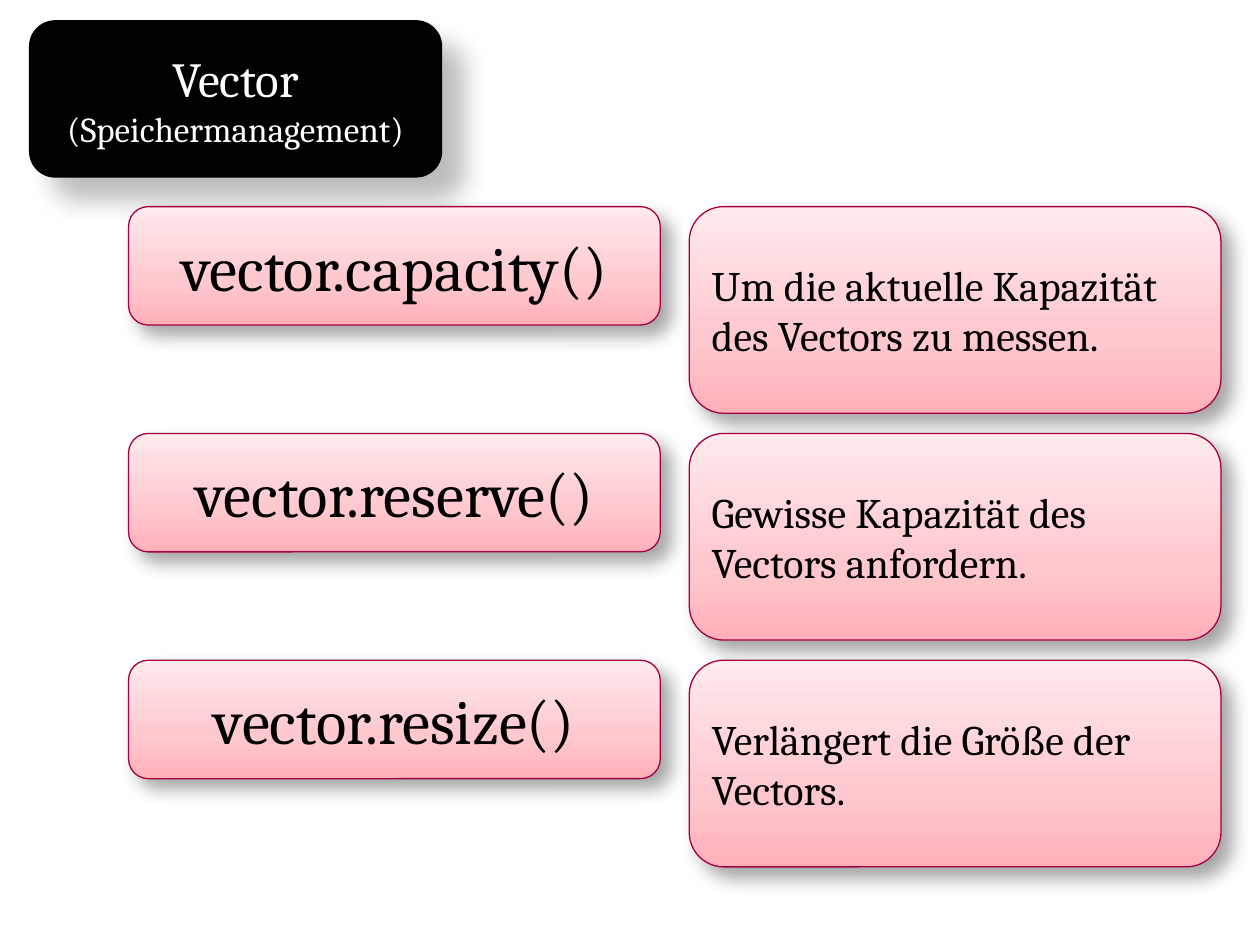
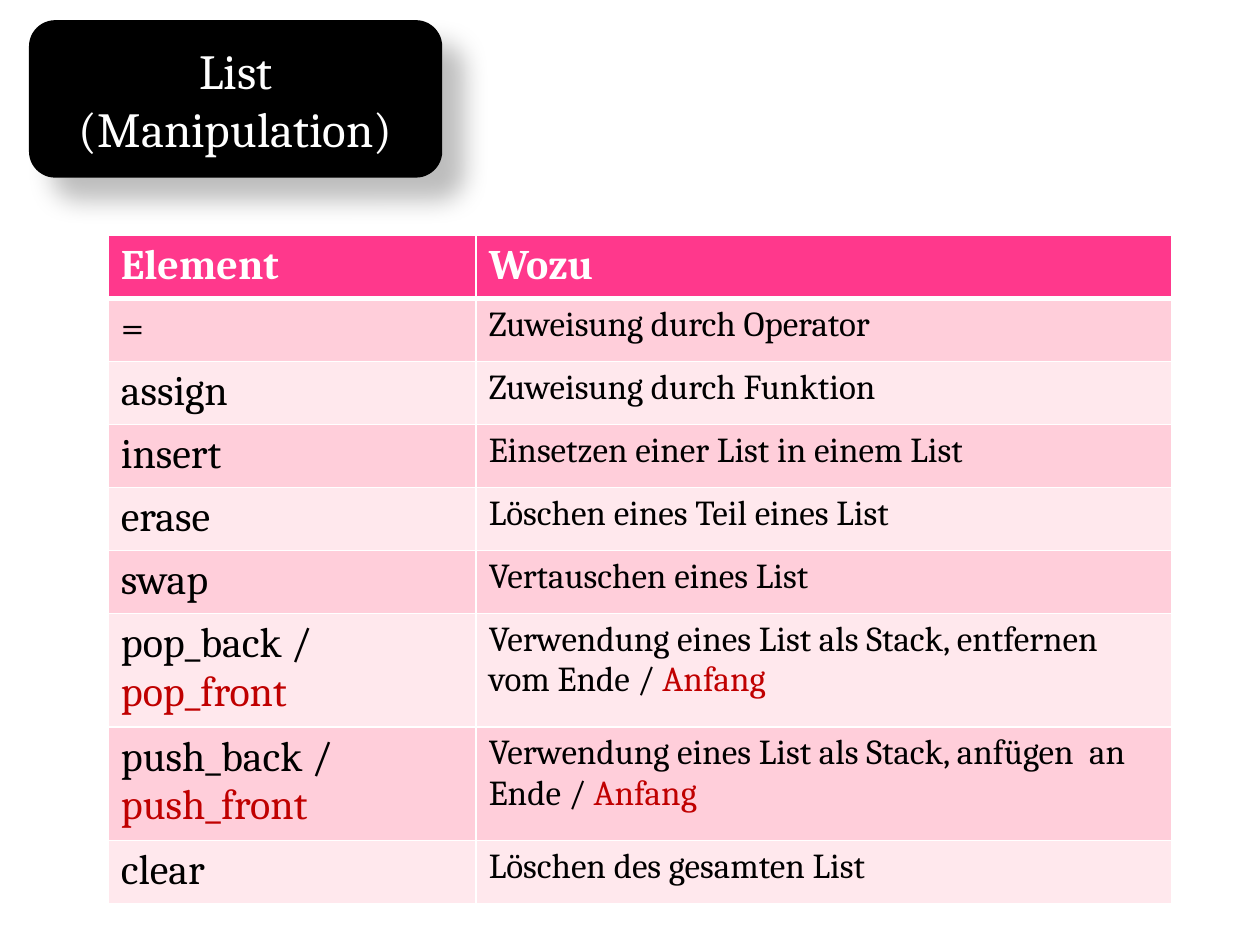
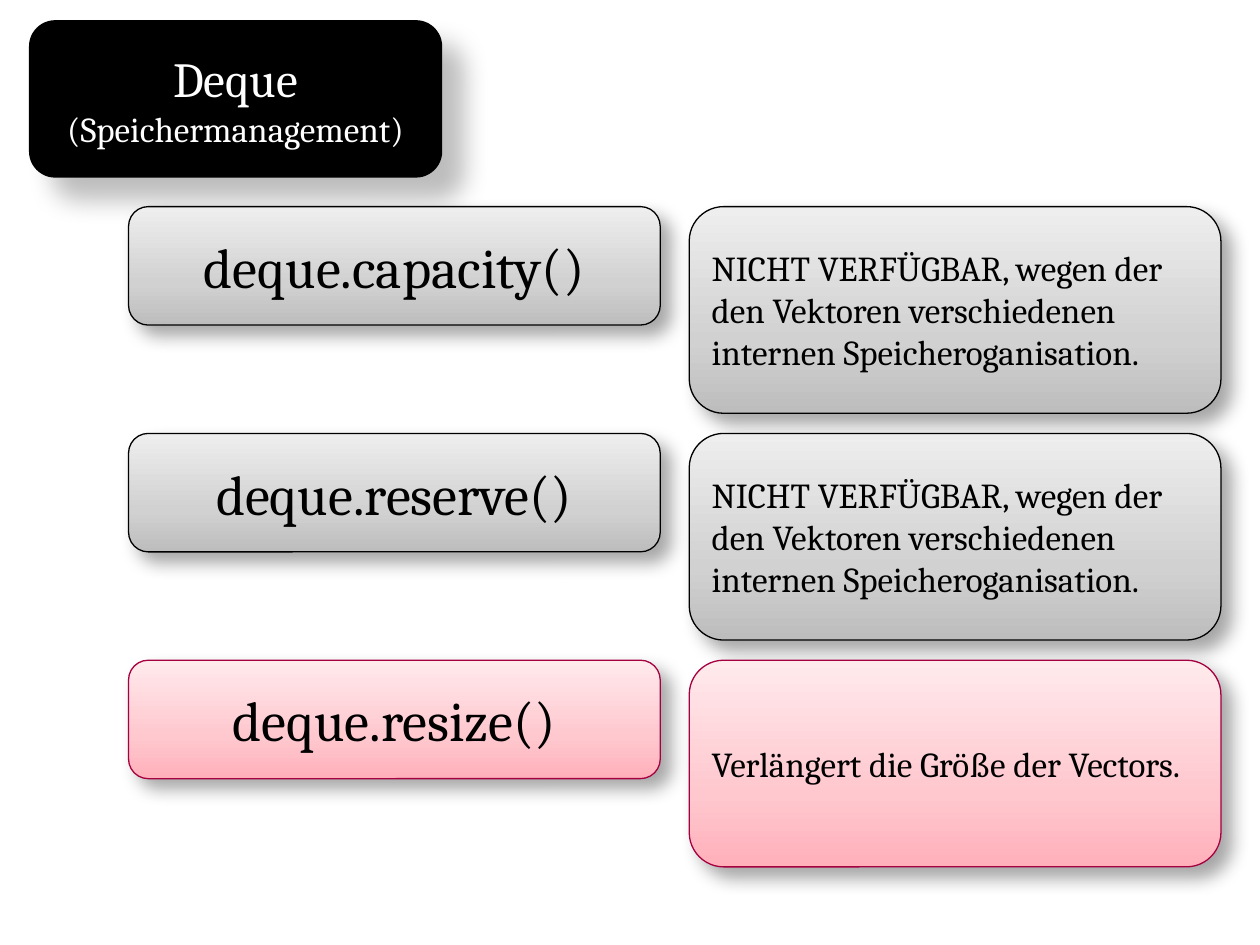
from copy import deepcopy

from lxml import etree
from pptx import Presentation
from pptx import util as u
from pptx.dml.color import RGBColor
from pptx.enum import shapes, text
from pptx.oxml.ns import qn

BLACK = RGBColor(0x00, 0x00, 0x00)
WHITE = RGBColor(0xFF, 0xFF, 0xFF)
RED = RGBColor(0xC0, 0x00, 0x00)
CRIMSON = RGBColor(0xA5, 0x00, 0x40)
HEADER_PINK = RGBColor(0xFF, 0x38, 0x8C)
BAND_DARK = RGBColor(0xFF, 0xCE, 0xDA)
BAND_LIGHT = RGBColor(0xFF, 0xE8, 0xED)
PINK_STOPS = (RGBColor(0xFF, 0xB0, 0xBA), RGBColor(0xFF, 0xC7, 0xCE), RGBColor(0xFF, 0xEA, 0xEC))
GRAY_STOPS = (RGBColor(0xBD, 0xBD, 0xBD), RGBColor(0xD1, 0xD1, 0xD1), RGBColor(0xEE, 0xEE, 0xEE))
STOP_POSITIONS = (0, 0.35, 1)
PINK = (PINK_STOPS, CRIMSON)
GRAY = (GRAY_STOPS, BLACK)

FONT = "Cambria"
TITLE_BOX = (0.23, 0.16, 3.28, 1.25)
METHODS_BOX = (1.02, 1.64, 8.67, 5.24)
TABLE_BOX = (0.86, 1.87, 8.44, 5.3)
COLUMN_GAP = 0.23
ROW_GAP = 0.16
NAME_HEIGHT = 0.94

UNAVAILABLE = "NICHT VERFÜGBAR, wegen der den Vektoren verschiedenen internen Speicheroganisation."
RESIZE = "Verlängert die Größe der Vectors."
VECTOR_METHODS = [
    ("vector.capacity()", "Um die aktuelle Kapazität des Vectors zu messen.", PINK),
    ("vector.reserve()", "Gewisse Kapazität des Vectors anfordern.", PINK),
    ("vector.resize()", RESIZE, PINK),
]
DEQUE_METHODS = [
    ("deque.capacity()", UNAVAILABLE, GRAY),
    ("deque.reserve()", UNAVAILABLE, GRAY),
    ("deque.resize()", RESIZE, PINK),
]
LIST_ROWS = [
    (["Element"], ["Wozu"]),
    (["="], ["Zuweisung durch Operator"]),
    (["assign"], ["Zuweisung durch Funktion"]),
    (["insert"], ["Einsetzen einer List in einem List"]),
    (["erase"], ["Löschen eines Teil eines List"]),
    (["swap"], ["Vertauschen eines List"]),
    (["pop_back / ", "pop_front"],
     ["Verwendung eines List als Stack, entfernen vom Ende / ", "Anfang"]),
    (["push_back / ", "push_front"],
     ["Verwendung eines List als Stack, anfügen  an Ende / ", "Anfang"]),
    (["clear"], ["Löschen des gesamten List"]),
]


def style_run(r, size, color, bold=False):
    r.font.name = FONT
    r.font.size = u.Pt(size)
    r.font.color.rgb = color
    r.font.bold = bold


def add_shadow(sp, alpha, blur, distance):
    sp.shadow.inherit = False
    effects = sp._element.spPr.find(qn("a:effectLst"))
    shadow = etree.SubElement(effects, qn("a:outerShdw"), blurRad=str(u.Pt(blur)),
                              dist=str(u.Pt(distance)), dir="2700000",
                              algn="tl", rotWithShape="0")
    color = etree.SubElement(shadow, qn("a:srgbClr"), val=str(BLACK))
    etree.SubElement(color, qn("a:alpha"), val=str(alpha * 1000))


def add_card(s, box, lines, sizes, color, align):
    sp = s.shapes.add_shape(shapes.MSO_SHAPE.ROUNDED_RECTANGLE, *map(u.Inches, box))
    tf = sp.text_frame
    tf.word_wrap = True
    tf.vertical_anchor = text.MSO_ANCHOR.MIDDLE
    tf.text = "\n".join(lines)
    for p, size in zip(tf.paragraphs, sizes):
        p.alignment = align
        style_run(p.runs[0], size, color)
    return sp


def add_title(s, box, lines, sizes):
    sp = add_card(s, box, lines, sizes, WHITE, text.PP_ALIGN.CENTER)
    sp.fill.solid()
    sp.fill.fore_color.rgb = BLACK
    sp.line.fill.background()
    add_shadow(sp, 26, 15, 18)


def add_gradient_card(s, box, label, size, align, theme):
    colors, outline = theme
    sp = add_card(s, box, [label], [size], BLACK, align)
    sp.fill.gradient()
    sp.fill.gradient_angle = 90
    stops = sp._element.spPr.find(qn("a:gradFill")).find(qn("a:gsLst"))
    stops.append(deepcopy(stops[0]))
    for stop, position, color in zip(sp.fill.gradient_stops, STOP_POSITIONS, colors):
        stop.position = position
        stop.color.rgb = color
    sp.line.color.rgb = outline
    sp.line.width = u.Pt(0.75)
    add_shadow(sp, 35, 10.2, 8)


def add_methods(s, box, methods, name_size, purpose_size):
    left, top, width, height = box
    card_width = (width - COLUMN_GAP) / 2
    card_height = (height - ROW_GAP * (len(methods) - 1)) / len(methods)
    for i, (name, purpose, theme) in enumerate(methods):
        y = top + i * (card_height + ROW_GAP)
        add_gradient_card(s, (left, y, card_width, NAME_HEIGHT), name, name_size,
                          text.PP_ALIGN.CENTER, theme)
        add_gradient_card(s, (left + card_width + COLUMN_GAP, y, card_width, card_height),
                          purpose, purpose_size, text.PP_ALIGN.LEFT, theme)


def add_borders(cell, top, bottom):
    tc_pr = cell._tc.get_or_add_tcPr()
    for side, width in (("L", 0.96), ("R", 0.96), ("T", top), ("B", bottom)):
        ln = etree.SubElement(tc_pr, qn(f"a:ln{side}"), w=str(u.Pt(width)))
        fill = etree.SubElement(ln, qn("a:solidFill"))
        etree.SubElement(fill, qn("a:srgbClr"), val=str(WHITE))


def fill_cell(cell, parts, row, size):
    header = row == 0
    add_borders(cell, 3 if row == 1 else 0.96, 3 if header else 0.96)
    cell.fill.solid()
    cell.fill.fore_color.rgb = HEADER_PINK if header else (BAND_LIGHT, BAND_DARK)[row % 2]
    p = cell.text_frame.paragraphs[0]
    for part, color in zip(parts, (WHITE if header else BLACK, RED)):
        r = p.add_run()
        r.text = part
        style_run(r, size, color, header)


def add_list_table(s, box, rows):
    table = s.shapes.add_table(len(rows), 2, *map(u.Inches, box)).table
    table.columns[0].width = u.Inches(2.92)
    table.columns[1].width = u.Inches(box[2] - 2.92)
    for i, (element, purpose) in enumerate(rows):
        table.rows[i].height = u.Inches(0.9 if len(element) > 1 else 0.5)
        fill_cell(table.cell(i, 0), element, i, 24)
        fill_cell(table.cell(i, 1), purpose, i, 24 if i == 0 else 20)


def add_slide(prs, lines, sizes):
    s = prs.slides.add_slide(prs.slide_layouts[6])
    add_title(s, TITLE_BOX, lines, sizes)
    return s


def main():
    prs = Presentation()
    prs.slide_width = u.Inches(10)
    prs.slide_height = u.Inches(7.5)

    s = add_slide(prs, ["Vector", "(Speichermanagement)"], (28, 20))
    add_methods(s, METHODS_BOX, VECTOR_METHODS, 36, 24)

    s = add_slide(prs, ["List", "(Manipulation)"], (28, 28))
    add_list_table(s, TABLE_BOX, LIST_ROWS)

    s = add_slide(prs, ["Deque", "(Speichermanagement)"], (28, 20))
    add_methods(s, METHODS_BOX, DEQUE_METHODS, 32, 20)

    prs.save("out.pptx")


if __name__ == "__main__":
    main()
